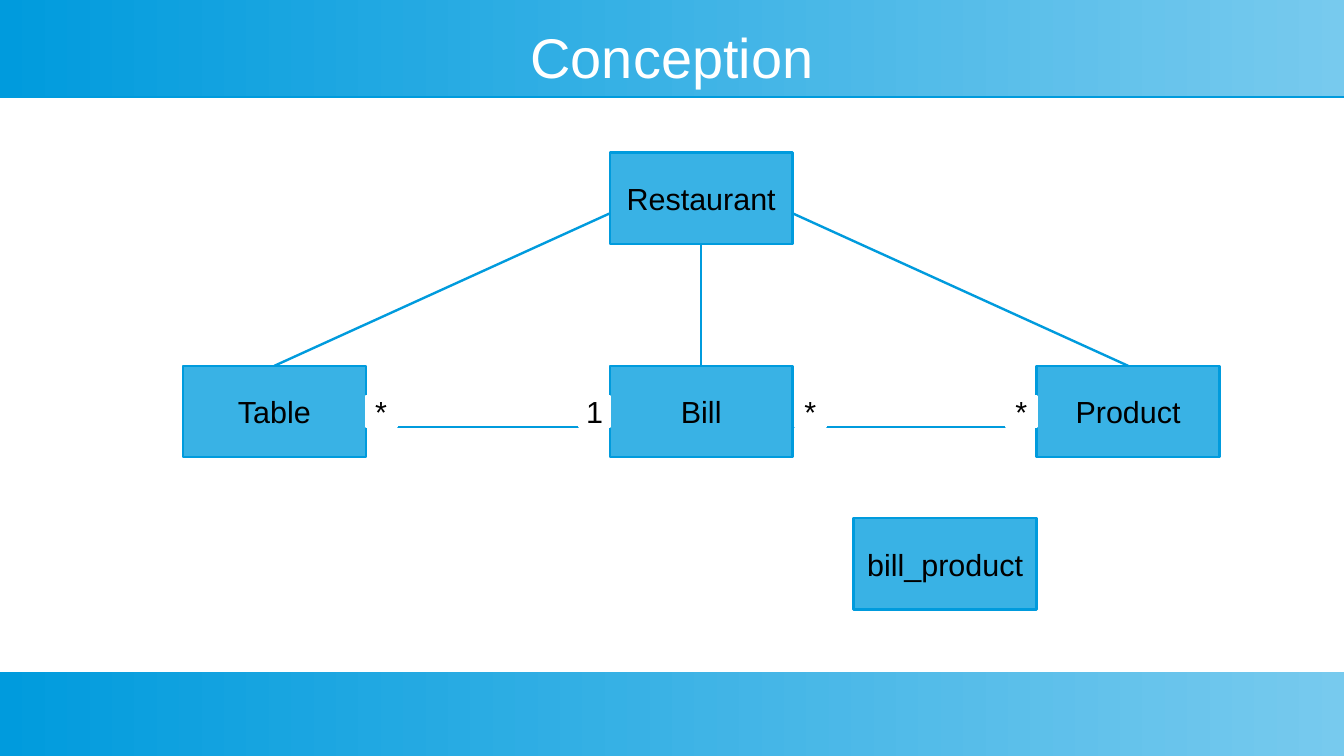
import lxml.etree
import pptx
import pptx.dml.color
import pptx.enum.shapes
import pptx.enum.text
import pptx.oxml.ns
import pptx.util

Inches = pptx.util.Inches
RGBColor = pptx.dml.color.RGBColor
qn = pptx.oxml.ns.qn

BLUE = RGBColor(0x00, 0x9B, 0xDD)
MID_BLUE = RGBColor(0x39, 0xB2, 0xE5)
PALE_BLUE = RGBColor(0x77, 0xCA, 0xEE)
WHITE = RGBColor(0xFF, 0xFF, 0xFF)
BLACK = RGBColor(0x00, 0x00, 0x00)

PAGE_WIDTH, PAGE_HEIGHT = 11.02, 6.2
HEADER_HEIGHT, FOOTER_HEIGHT = 0.79, 0.69
LINE_WIDTH = pptx.util.Pt(1.42)
ENTITY_WIDTH, ENTITY_HEIGHT = 1.5, 0.75
LABEL_SIZE = 0.25

TOP, BOTTOM = 0, 2


def write_text(frame, text, size=18, color=BLACK, wrap=False):
    frame.word_wrap = wrap
    frame.vertical_anchor = pptx.enum.text.MSO_ANCHOR.MIDDLE
    para = frame.paragraphs[0]
    para.alignment = pptx.enum.text.PP_ALIGN.CENTER
    span = para.add_run()
    span.text = text
    span.font.name = "Arial"
    span.font.size = pptx.util.Pt(size)
    span.font.color.rgb = color


def add_rectangle(page, left, top, width, height):
    box = page.shapes.add_shape(
        pptx.enum.shapes.MSO_SHAPE.RECTANGLE,
        Inches(left), Inches(top), Inches(width), Inches(height))
    box.shadow.inherit = False
    return box


def add_band(page, top, height):
    """Add a full-width gradient band with a thin blue shadow below it."""
    band = add_rectangle(page, 0, top, PAGE_WIDTH, height)
    band.line.fill.background()
    band.fill.gradient()
    band.fill.gradient_angle = 0
    for stop, color in zip(band.fill.gradient_stops, (BLUE, PALE_BLUE)):
        stop.color.rgb = color
    effects = band._element.spPr.find(qn("a:effectLst"))
    shadow = lxml.etree.SubElement(
        effects, qn("a:outerShdw"), dist=str(pptx.util.Pt(0.9)), dir="5400000")
    lxml.etree.SubElement(shadow, qn("a:srgbClr"), val=str(BLUE))


def add_title(page, text, left, top, width, height):
    box = page.shapes.add_textbox(
        Inches(left), Inches(top), Inches(width), Inches(height))
    frame = box.text_frame
    frame.margin_left = frame.margin_right = 0
    frame.margin_top = frame.margin_bottom = 0
    write_text(frame, text, size=33, color=WHITE, wrap=True)


def add_text_box(page, text, left, top, width, height, fill, outline):
    box = add_rectangle(page, left, top, width, height)
    box.fill.solid()
    box.fill.fore_color.rgb = fill
    box.line.color.rgb = outline
    box.line.width = LINE_WIDTH
    write_text(box.text_frame, text)
    return box


def add_entity(page, name, left, top):
    return add_text_box(page, name, left, top, ENTITY_WIDTH, ENTITY_HEIGHT,
                        MID_BLUE, BLUE)


def add_multiplicity(page, text, left, top):
    add_text_box(page, text, left, top, LABEL_SIZE, LABEL_SIZE, WHITE, WHITE)


def add_link(page, start, end):
    link = page.shapes.add_connector(
        pptx.enum.shapes.MSO_CONNECTOR.STRAIGHT,
        *(Inches(length) for length in (*start, *end)))
    link.line.color.rgb = BLUE
    link.line.width = LINE_WIDTH
    lxml.etree.SubElement(link._element.spPr, qn("a:effectLst"))
    return link


def add_entity_diagram(page, left, top):
    column_step = 3.5
    columns = [left + column_step * index for index in range(3)]
    row = top + 1.75
    center = columns[1] + ENTITY_WIDTH / 2

    restaurant = add_entity(page, "Restaurant", columns[1], top)
    table, bill, product = (
        add_entity(page, name, column, row)
        for name, column in zip(("Table", "Bill", "Product"), columns))
    add_entity(page, "bill_product", columns[1] + 2, row + 1.25)

    trunk = add_link(page, (center, top + ENTITY_HEIGHT), (center, row))
    trunk.begin_connect(restaurant, BOTTOM)
    trunk.end_connect(bill, TOP)

    side = top + 0.5
    for child, column, edge in (
            (table, columns[0], columns[1]),
            (product, columns[2], columns[1] + ENTITY_WIDTH)):
        branch = add_link(page, (edge, side), (column + ENTITY_WIDTH / 2, row))
        branch.end_connect(child, TOP)

    for column in columns[:2]:
        add_link(page, (column + ENTITY_WIDTH, row + 0.5),
                 (column + column_step, row + 0.5))

    for text, label_left in (
            ("*", columns[0] + ENTITY_WIDTH),
            ("1", columns[1] - LABEL_SIZE),
            ("*", columns[1] + ENTITY_WIDTH + 0.02),
            ("*", columns[2] - LABEL_SIZE)):
        add_multiplicity(page, text, label_left, row + 0.25)


def main():
    deck = pptx.Presentation()
    deck.slide_width = Inches(PAGE_WIDTH)
    deck.slide_height = Inches(PAGE_HEIGHT)
    page = deck.slides.add_slide(deck.slide_layouts[6])
    add_band(page, 0, HEADER_HEIGHT)
    add_band(page, PAGE_HEIGHT - FOOTER_HEIGHT, FOOTER_HEIGHT)
    add_title(page, "Conception", 0.39, 0.2, 10.24, 0.52)
    add_entity_diagram(page, 1.5, 1.25)
    deck.save("out.pptx")


if __name__ == "__main__":
    main()
